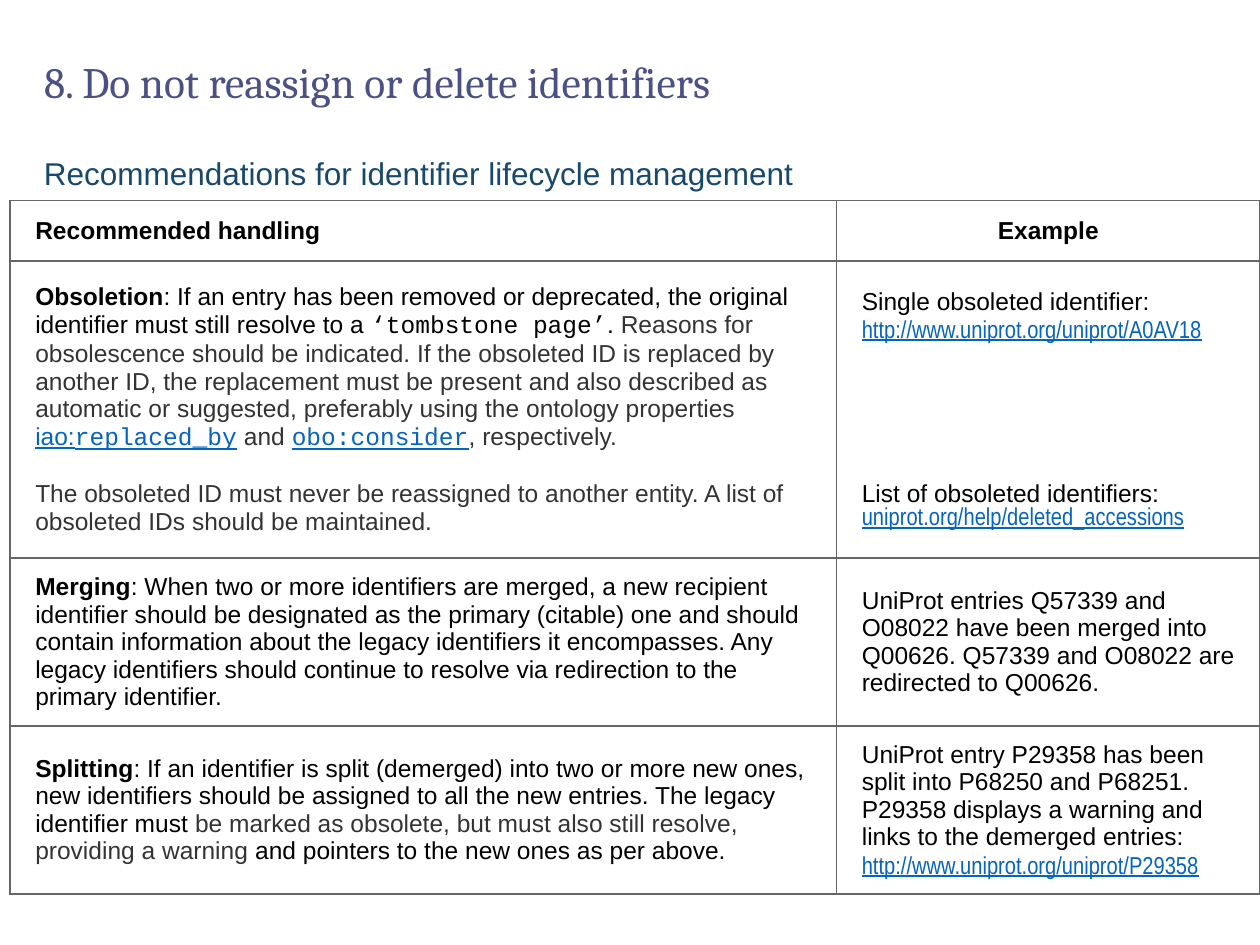
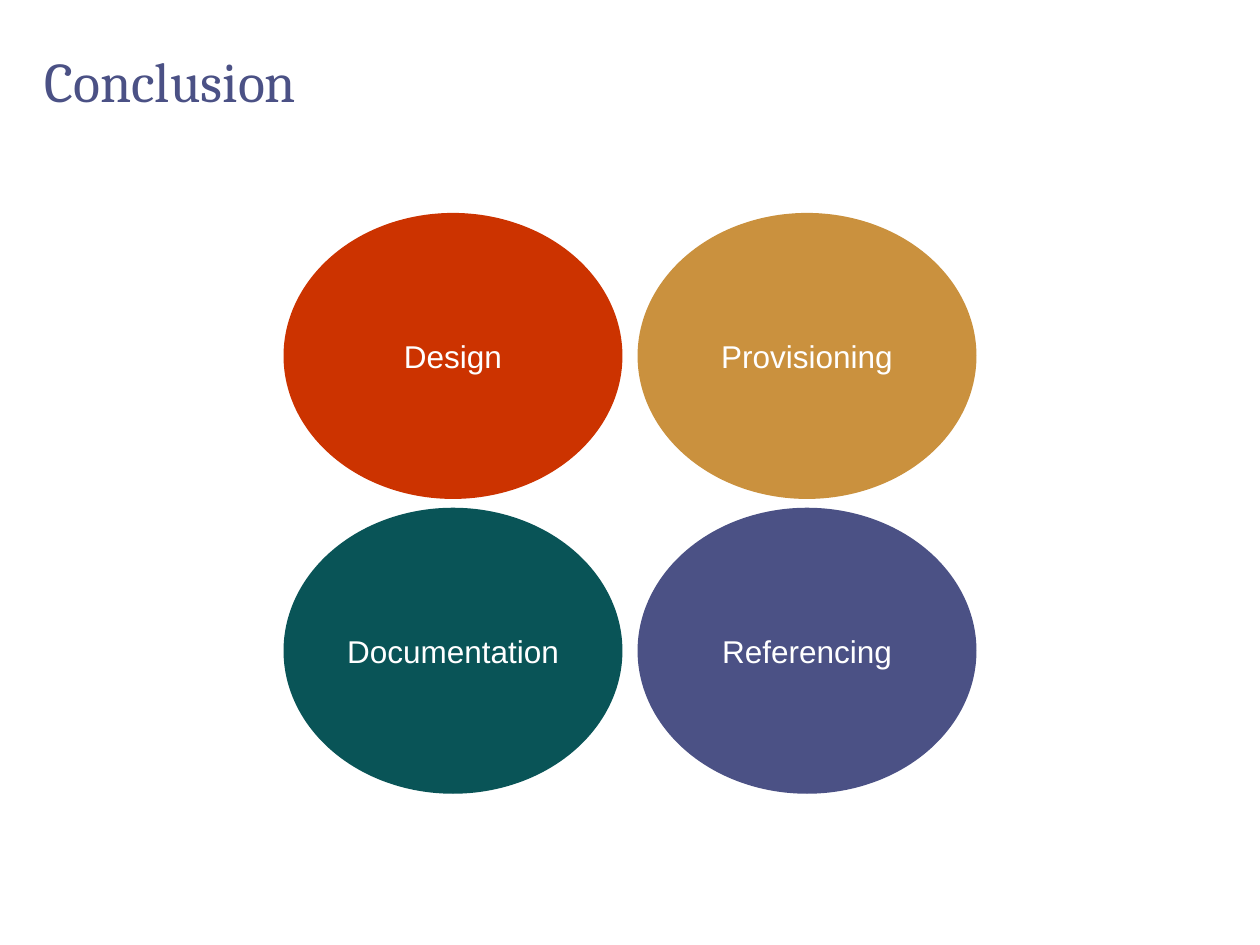
from lxml import etree
from pptx import Presentation
from pptx.dml.color import RGBColor
from pptx.enum.shapes import MSO_SHAPE
from pptx.enum.text import MSO_ANCHOR, MSO_AUTO_SIZE, PP_ALIGN
from pptx.oxml.ns import qn
from pptx.util import Pt

LEFT, CENTER, JUSTIFY = PP_ALIGN.LEFT, PP_ALIGN.CENTER, PP_ALIGN.JUSTIFY
MIDDLE = MSO_ANCHOR.MIDDLE
NO_AUTOFIT = MSO_AUTO_SIZE.NONE
ELLIPSE = MSO_SHAPE.OVAL
TITLE_ONLY = 5

BLACK, WHITE, GREY = "000000", "FFFFFF", "333333"
INDIGO, NAVY, LINK, BORDER = "4B5185", "18496B", "0563C1", "666666"
TITLE_BOX = (18, 12.24, 684.72, 72)
SUBTITLE_BOX = (18, 84.24, 529.92, 28.8)
TABLE_BOX = (5.76, 114.5, 714.24, 396.5)
CIRCLES_BOX = (162, 121.68, 396, 331.92)

COLUMN_WIDTHS = (472.32, 241.92)
ROW_HEIGHTS = (34.6, 169.9, 96, 96)
CELL_MARGIN = 14.4
LINK_SPACE = 3

BOLD = {"bold": True}
SOFT = {"color": GREY}
CODE = {"font": "Courier New"}
ANCHOR = {"color": LINK, "underline": True}
CODE_LINK = {**CODE, **ANCHOR}
URL = {**ANCHOR, "font": "Arial Narrow"}

HEADINGS = (("Recommended handling", JUSTIFY), ("Example", CENTER))
ROWS = [
    (
        [
            (0, [
                ("Obsoletion", BOLD),
                (": If an entry has been removed or deprecated, the original identifier "
                 "must still resolve to a ", {}),
                ("‘tombstone page’", CODE),
                (". ", {}),
                ("Reasons for obsolescence should be indicated. If the obsoleted ID is "
                 "replaced by another ID, the replacement must be present and also "
                 "described as automatic or suggested, preferably using the ontology "
                 "properties ", SOFT),
                ("iao:", ANCHOR),
                ("replaced_by", CODE_LINK),
                (" and ", SOFT),
                ("obo:consider", CODE_LINK),
                (", respectively.", SOFT),
            ]),
            (16, [("The obsoleted ID must never be reassigned to another entity. A list "
                   "of obsoleted IDs should be maintained.", SOFT)]),
        ],
        [
            (0, [("Single obsoleted identifier:", {})]),
            (LINK_SPACE, [("http://www.uniprot.org/uniprot/A0AV18", URL)]),
            (78, [("List of obsoleted identifiers:", {})]),
            (0, [("uniprot.org/help/deleted_accessions", URL)]),
        ],
    ),
    (
        [(0, [
            ("Merging", BOLD),
            (": When two or more identifiers are merged, a new recipient identifier "
             "should be designated as the primary (citable) one and should contain "
             "information about the legacy identifiers it encompasses. Any legacy "
             "identifiers should continue to resolve via redirection to the primary "
             "identifier.", {}),
        ])],
        [(0, [("UniProt entries Q57339 and O08022 have been merged into Q00626. Q57339 "
               "and O08022 are redirected to Q00626.", {})])],
    ),
    (
        [(0, [
            ("Splitting", BOLD),
            (": If an identifier is split (demerged) into two or more new ones, new "
             "identifiers should be assigned to all the new entries. The legacy "
             "identifier must ", {}),
            ("be marked as obsolete, but must also still resolve, providing a warning", SOFT),
            (" and pointers to the new ones as per above.", {}),
        ])],
        [
            (0, [("UniProt entry P29358 has been split into P68250 and P68251. P29358 "
                  "displays a warning and links to the demerged entries:", {})]),
            (LINK_SPACE, [("http://www.uniprot.org/uniprot/P29358", URL)]),
        ],
    ),
]
CIRCLES = (
    (("Design", "CC3300"), ("Provisioning", "CA913E")),
    (("Documentation", "095457"), ("Referencing", INDIGO)),
)


def rgb(value):
    return RGBColor.from_string(value)


def points(box):
    return [Pt(length) for length in box]


def add_run(paragraph, text, size, color=BLACK, font="Arial", bold=False, underline=False):
    run = paragraph.add_run()
    run.text = text
    run.font.size = Pt(size)
    run.font.name = font
    run.font.bold = bold
    run.font.underline = underline
    run.font.color.rgb = rgb(color)


def add_titled_slide(presentation, text, size):
    slide = presentation.slides.add_slide(presentation.slide_layouts[TITLE_ONLY])
    title = slide.shapes.title
    title.left, title.top, title.width, title.height = points(TITLE_BOX)
    frame = title.text_frame
    frame.auto_size = NO_AUTOFIT
    frame.vertical_anchor = MIDDLE
    paragraph = frame.paragraphs[0]
    paragraph.alignment = LEFT
    paragraph.line_spacing = 0.9
    add_run(paragraph, text, size, INDIGO, "Cambria")
    return slide


def add_subtitle(slide, box, text):
    frame = slide.shapes.add_textbox(*points(box)).text_frame
    frame.word_wrap = True
    frame.vertical_anchor = MIDDLE
    add_run(frame.paragraphs[0], text, 18, NAVY)


def add_borders(cell):
    properties = cell._tc.get_or_add_tcPr()
    for position, side in enumerate(("a:lnL", "a:lnR", "a:lnT", "a:lnB")):
        line = etree.Element(qn(side), w=str(Pt(1)))
        fill = etree.SubElement(line, qn("a:solidFill"))
        etree.SubElement(fill, qn("a:srgbClr"), val=BORDER)
        properties.insert(position, line)


def fill_cell(cell, paragraphs, alignment=LEFT):
    cell.fill.solid()
    cell.fill.fore_color.rgb = rgb(WHITE)
    add_borders(cell)
    cell.vertical_anchor = MIDDLE
    cell.margin_left = cell.margin_right = Pt(CELL_MARGIN)
    cell.margin_top = cell.margin_bottom = 0
    frame = cell.text_frame
    for index, (space, runs) in enumerate(paragraphs):
        paragraph = frame.add_paragraph() if index else frame.paragraphs[0]
        paragraph.alignment = alignment
        if space:
            paragraph.space_before = Pt(space)
        for text, style in runs:
            add_run(paragraph, text, 14, **style)


def add_lifecycle_table(slide, box):
    table = slide.shapes.add_table(len(ROW_HEIGHTS), len(COLUMN_WIDTHS), *points(box)).table
    table.first_row = table.horz_banding = False
    for column, width in zip(table.columns, COLUMN_WIDTHS):
        column.width = Pt(width)
    for row, height in zip(table.rows, ROW_HEIGHTS):
        row.height = Pt(height)
    for column, (heading, alignment) in enumerate(HEADINGS):
        fill_cell(table.cell(0, column), [(0, [(heading, BOLD)])], alignment)
    for row, contents in enumerate(ROWS, 1):
        for column, paragraphs in enumerate(contents):
            fill_cell(table.cell(row, column), paragraphs)


def add_circles(slide, box):
    left, top, width, height = box
    circle_width, circle_height = 193.68, 163.44
    step_x, step_y = width - circle_width, height - circle_height
    for row, circles in enumerate(CIRCLES):
        for column, (label, color) in enumerate(circles):
            place = (left + column * step_x, top + row * step_y, circle_width, circle_height)
            shape = slide.shapes.add_shape(ELLIPSE, *points(place))
            shape.shadow.inherit = False
            shape.fill.solid()
            shape.fill.fore_color.rgb = rgb(color)
            shape.line.fill.background()
            frame = shape.text_frame
            frame.word_wrap = True
            frame.vertical_anchor = MIDDLE
            frame.paragraphs[0].alignment = CENTER
            add_run(frame.paragraphs[0], label, 18, WHITE)


def main():
    presentation = Presentation()
    presentation.slide_width, presentation.slide_height = Pt(720), Pt(540)

    slide = add_titled_slide(presentation, "8. Do not reassign or delete identifiers", 24.8)
    add_lifecycle_table(slide, TABLE_BOX)
    add_subtitle(slide, SUBTITLE_BOX, "Recommendations for identifier lifecycle management")

    slide = add_titled_slide(presentation, "Conclusion", 32)
    add_circles(slide, CIRCLES_BOX)

    presentation.save("out.pptx")


if __name__ == "__main__":
    main()
